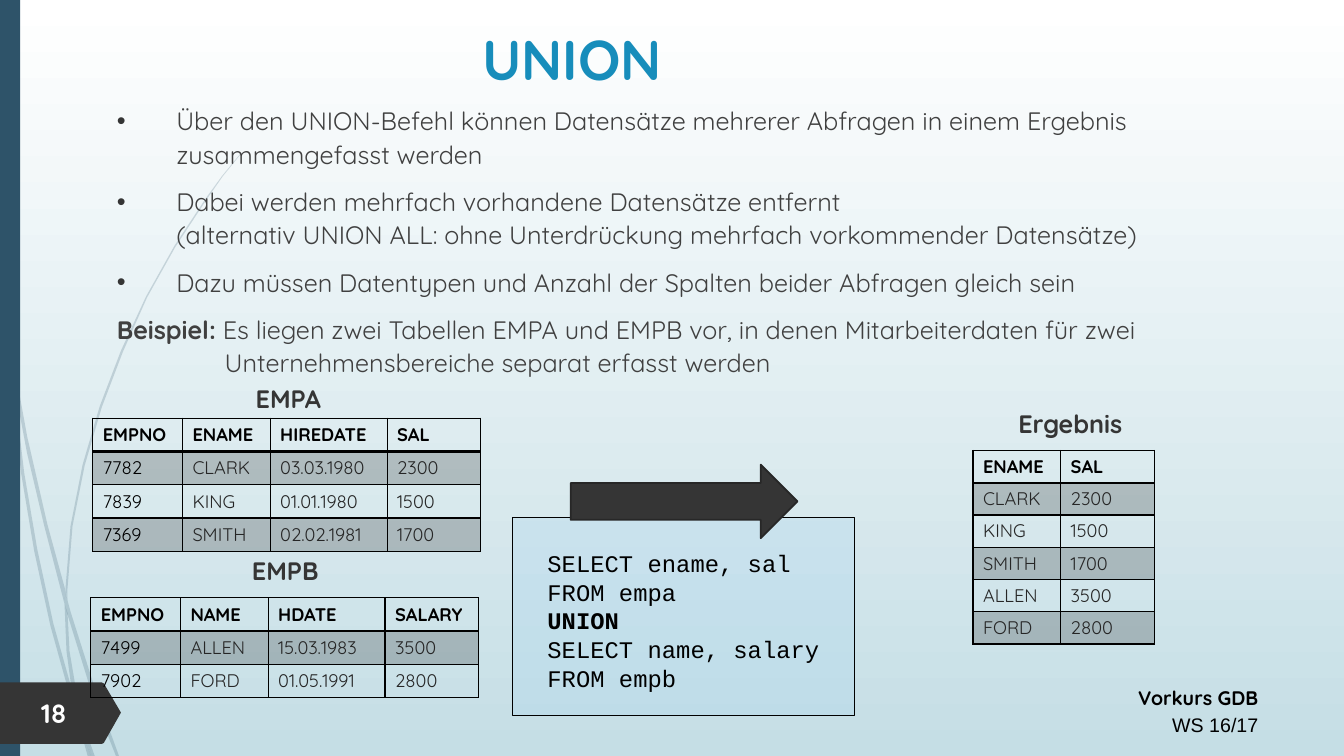
"""Builds the UNION slide of a database course with two source tables and their result."""
from lxml import etree
from pptx import Presentation
from pptx.dml.color import RGBColor
from pptx.enum.shapes import MSO_SHAPE
from pptx.enum.text import MSO_ANCHOR, MSO_AUTO_SIZE, PP_ALIGN
from pptx.oxml.ns import qn
from pptx.util import Inches, Pt

COLORS = {
    "white": "FFFFFF", "sky": "C5DEE5", "navy": "2E5369", "dark": "353535", "edge": "272727",
    "title": "178DBB", "body": "404040", "cell": "262626", "black": "000000", "code": "A8D5F0",
}
FONT = "Quicksand"
TITLE = "UNION"
BULLETS = [
    "Über den UNION-Befehl können Datensätze mehrerer Abfragen in einem Ergebnis "
    "zusammengefasst werden",
    "Dabei werden mehrfach vorhandene Datensätze entfernt\v"
    "(alternativ UNION ALL: ohne Unterdrückung mehrfach vorkommender Datensätze)",
    "Dazu müssen Datentypen und Anzahl der Spalten beider Abfragen gleich sein",
]
EXAMPLE = ("Beispiel:", [
    " Es liegen zwei Tabellen EMPA und EMPB vor, in denen Mitarbeiterdaten für zwei",
    "Unternehmensbereiche separat erfasst werden",
])
QUERY = ["SELECT ename, sal", "FROM empa", "UNION", "SELECT name, salary", "FROM empb"]
FOOTER = [("Vorkurs GDB", FONT, True), ("WS 16/17", "Arial", False)]
PAGE_NUMBER = "18"
WIDE, NARROW = [0.89, 0.87, 1.16, 0.93], [0.87, 0.93]
TABLES = [
    {"name": "EMPA", "label": (2.36, 3.75, 1, 0.4), "at": (0.92, 4.15), "cols": WIDE, "row": 0.33,
     "rows": [("EMPNO", "ENAME", "HIREDATE", "SAL"), ("7782", "CLARK", "03.03.1980", "2300"),
              ("7839", "KING", "01.01.1980", "1500"), ("7369", "SMITH", "02.02.1981", "1700")]},
    {"name": "EMPB", "label": (2.33, 5.46, 1, 0.4), "at": (0.9, 5.93), "cols": WIDE, "row": 0.33,
     "rows": [("EMPNO", "NAME", "HDATE", "SALARY"), ("7499", "ALLEN", "15.03.1983", "3500"),
              ("7902", "FORD", "01.05.1991", "2800")]},
    {"name": "Ergebnis", "label": (9.78, 4, 1.67, 0.4), "at": (9.65, 4.47), "cols": NARROW,
     "row": 0.32,
     "rows": [("ENAME", "SAL"), ("CLARK", "2300"), ("KING", "1500"), ("SMITH", "1700"),
              ("ALLEN", "3500"), ("FORD", "2800")]},
]
WISPS = [
    [(0.08, 3.5), (0.06, 3.22), (0, 2.82), (0, 2.99), (0.08, 3.44)],
    [(0.44, 5.22), (0.64, 5.99), (0.65, 5.86), (0.47, 5.2), (0.27, 4.33), (0.11, 3.45),
     (0.13, 3.76), (0.27, 4.5)],
    [(0.7, 6.07), (0.67, 5.96), (0.67, 6.1), (0.93, 6.94), (1.15, 7.5), (1.18, 7.5), (0.97, 6.92)],
    [(0.91, 7.5), (0.94, 7.5), (0.8, 7.11)],
    [(0.71, 6.83), (0.53, 6.19), (0.37, 5.45), (0.24, 4.69), (0.13, 3.76), (0.08, 3.5),
     (0.21, 4.7), (0.34, 5.47), (0.5, 6.21), (0.7, 6.93), (0.77, 7.14)],
    [(0.64, 5.99), (0.66, 6.46), (0.71, 6.83), (0.8, 7.11), (0.69, 6.46), (0.67, 6.08)],
    [(0.67, 5.84), (0.72, 5.22), (0.84, 4.62), (1.01, 4.04), (1.22, 3.49), (1.46, 2.95),
     (1.74, 2.45), (2.05, 1.98), (2.21, 1.75), (2.38, 1.54), (2.38, 1.53), (2.2, 1.75),
     (2.04, 1.97), (1.73, 2.44), (1.45, 2.94), (1.2, 3.48), (0.99, 4.03), (0.82, 4.61),
     (0.7, 5.22), (0.65, 5.84), (0.67, 5.96)],
    [(0.77, 7.14), (0.87, 7.5), (0.9, 7.5)],
    [(0.67, 6.1), (0.67, 5.96), (0.65, 5.86), (0.64, 5.99)],
    [(0.71, 6.83), (0.77, 7.14), (0.9, 7.5), (0.91, 7.5), (0.8, 7.11)],
]
PAGE_TAG = [(0, 6.77), (1.01, 6.77), (1.03, 6.78), (1.2, 7.07), (1.03, 7.37), (1.01, 7.38), (0, 7.38)]


def color(name):
    return RGBColor.from_string(COLORS[name])


def paint(fill, name, opacity=100):
    fill.solid()
    fill.fore_color.rgb = color(name)
    if opacity < 100:
        tint = fill._xPr.find(qn("a:solidFill"))[0]
        etree.SubElement(tint, qn("a:alpha"), val=str(opacity * 1000))


def set_font(font, size, name, bold=False, face=FONT):
    font.size, font.bold, font.name = Pt(size), bold, face
    font.color.rgb = color(name)


def add_outline(shapes, points, name, opacity=100):
    corners = [(Inches(x), Inches(y)) for x, y in points]
    builder = shapes.build_freeform(*corners[0])
    builder.add_line_segments(corners[1:], close=True)
    outline = builder.convert_to_shape()
    outline.shadow.inherit = False
    outline.line.fill.background()
    paint(outline.fill, name, opacity)


def add_preset(shapes, preset, box, name, opacity=100, edge=None, width=0):
    preset_shape = shapes.add_shape(preset, *map(Inches, box))
    preset_shape.shadow.inherit = False
    paint(preset_shape.fill, name, opacity)
    if edge:
        preset_shape.line.color.rgb = color(edge)
        preset_shape.line.width = Pt(width)
    else:
        preset_shape.line.fill.background()
    return preset_shape


def add_text(shapes, box):
    frame = shapes.add_textbox(*map(Inches, box)).text_frame
    frame.word_wrap = True
    return frame


def add_label(shapes, box, text, size, name, align):
    label = add_text(shapes, box).paragraphs[0]
    label.text, label.alignment = text, align
    set_font(label.font, size, name, True)


def next_paragraph(frame, index):
    return frame.add_paragraph() if index else frame.paragraphs[0]


def add_borders(cell, is_header, below_header):
    widths = {"L": 1, "R": 1, "T": 2 if below_header else 1, "B": 2 if is_header else 1}
    for index, (side, width) in enumerate(widths.items()):
        border = etree.Element(qn(f"a:ln{side}"), w=str(Pt(width)))
        stroke = etree.SubElement(border, qn("a:solidFill"))
        etree.SubElement(stroke, qn("a:srgbClr"), val=COLORS["black"])
        cell._tc.get_or_add_tcPr().insert(index, border)


def add_data_table(shapes, content):
    rows, cols = content["rows"], content["cols"]
    size = (sum(cols), content["row"] * len(rows))
    grid = shapes.add_table(len(rows), len(cols), *map(Inches, content["at"] + size)).table
    grid.first_row = grid.horz_banding = False
    for column, width in zip(grid.columns, cols):
        column.width = Inches(width)
    for r, values in enumerate(rows):
        for c, value in enumerate(values):
            cell = grid.cell(r, c)
            cell.text, cell.vertical_anchor = value, MSO_ANCHOR.MIDDLE
            cell.margin_top = cell.margin_bottom = Inches(0.04)
            is_dark = r == 0 or rows[0][c] == "EMPNO"
            set_font(cell.text_frame.paragraphs[0].font, 13, "black" if is_dark else "cell", r == 0)
            if r % 2:
                paint(cell.fill, "black", 20)
            else:
                cell.fill.background()
            add_borders(cell, r == 0, r == 1)
    add_label(shapes, content["label"], content["name"], 18, "dark", PP_ALIGN.CENTER)


def add_body(shapes):
    frame = add_text(shapes, (1.06, 0.97, 11.52, 2.85))
    for index, text in enumerate(BULLETS + [None]):
        paragraph = next_paragraph(frame, index)
        paragraph.line_spacing = 1.1
        if index:
            paragraph.space_before = Pt(10)
        indent = Inches(0.59 if text else 1.07)
        props = paragraph._p.get_or_add_pPr()
        props.set("marL", str(indent))
        props.set("indent", str(-indent))
        if text:
            paragraph.text = text
            tint = etree.SubElement(props, qn("a:buClr"))
            etree.SubElement(tint, qn("a:srgbClr"), val=COLORS["dark"])
            etree.SubElement(props, qn("a:buFont"), typeface="Arial")
            etree.SubElement(props, qn("a:buChar"), char="•")
            set_font(paragraph.font, 18, "body")
        else:
            lead, (first, second) = EXAMPLE
            set_font(paragraph.font, 18, "body")
            for part, bold in ((lead, True), (first, False), (second, False)):
                if part == second:
                    paragraph.add_line_break()
                run = paragraph.add_run()
                run.text = part
                set_font(run.font, 18, "body", bold)


def main():
    deck = Presentation()
    deck.slide_width, deck.slide_height = Inches(13.33), Inches(7.5)
    slide = deck.slides.add_slide(deck.slide_layouts[5])
    shapes = slide.shapes
    backdrop = slide.background.fill
    backdrop.gradient()
    backdrop.gradient_angle = 270
    for stop, name in zip(backdrop.gradient_stops, ("white", "sky")):
        stop.color.rgb = color(name)
    for wisp in WISPS:
        add_outline(shapes, wisp, "navy", 20)
    add_preset(shapes, MSO_SHAPE.RECTANGLE, (0, 0, 0.2, 7.5), "navy")
    footer = add_text(shapes, (7.38, 6.72, 5.2, 0.64))
    for index, (text, face, bold) in enumerate(FOOTER):
        line = next_paragraph(footer, index)
        line.text, line.alignment, line.line_spacing = text, PP_ALIGN.RIGHT, 1.14
        set_font(line.font, 14, "black", bold, face)
    add_outline(shapes, PAGE_TAG, "dark")
    add_label(shapes, (0.31, 6.86, 0.7, 0.42), PAGE_NUMBER, 19, "white", PP_ALIGN.LEFT)

    title = shapes.title
    title.left, title.top, title.width, title.height = map(Inches, (1.19, 0.17, 8.97, 0.81))
    title.text_frame.text = TITLE
    title.text_frame.auto_size = MSO_AUTO_SIZE.NONE
    title.text_frame.vertical_anchor = MSO_ANCHOR.MIDDLE
    title.text_frame.paragraphs[0].alignment = PP_ALIGN.CENTER
    set_font(title.text_frame.paragraphs[0].font, 40, "title", True)
    add_body(shapes)
    for content in TABLES:
        add_data_table(shapes, content)

    query = add_preset(shapes, MSO_SHAPE.RECTANGLE, (5.08, 5.13, 3.4, 1.97), "code", 27, "black", 0.75)
    frame = query.text_frame
    frame.vertical_anchor = MSO_ANCHOR.MIDDLE
    frame.margin_left, frame.margin_top, frame.margin_bottom = Inches(0.35), Inches(0.1), Inches(0.02)
    for index, text in enumerate(QUERY):
        line = next_paragraph(frame, index)
        line.text, line.alignment = text, PP_ALIGN.LEFT
        set_font(line.font, 17, "black", text == "UNION", "Courier New")
    add_preset(shapes, MSO_SHAPE.RIGHT_ARROW, (5.66, 4.61, 2.25, 0.73), "dark", 100, "edge", 1.25)
    deck.save("out.pptx")


if __name__ == "__main__":
    main()
